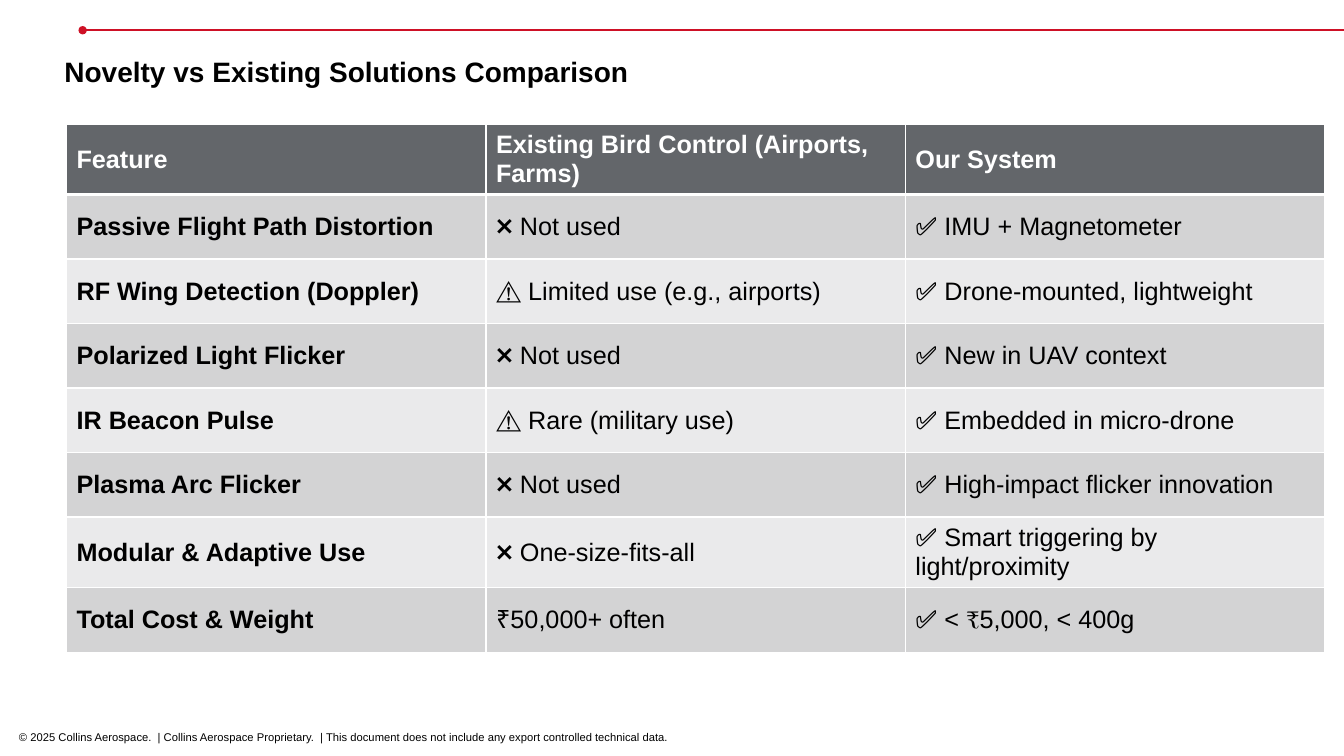
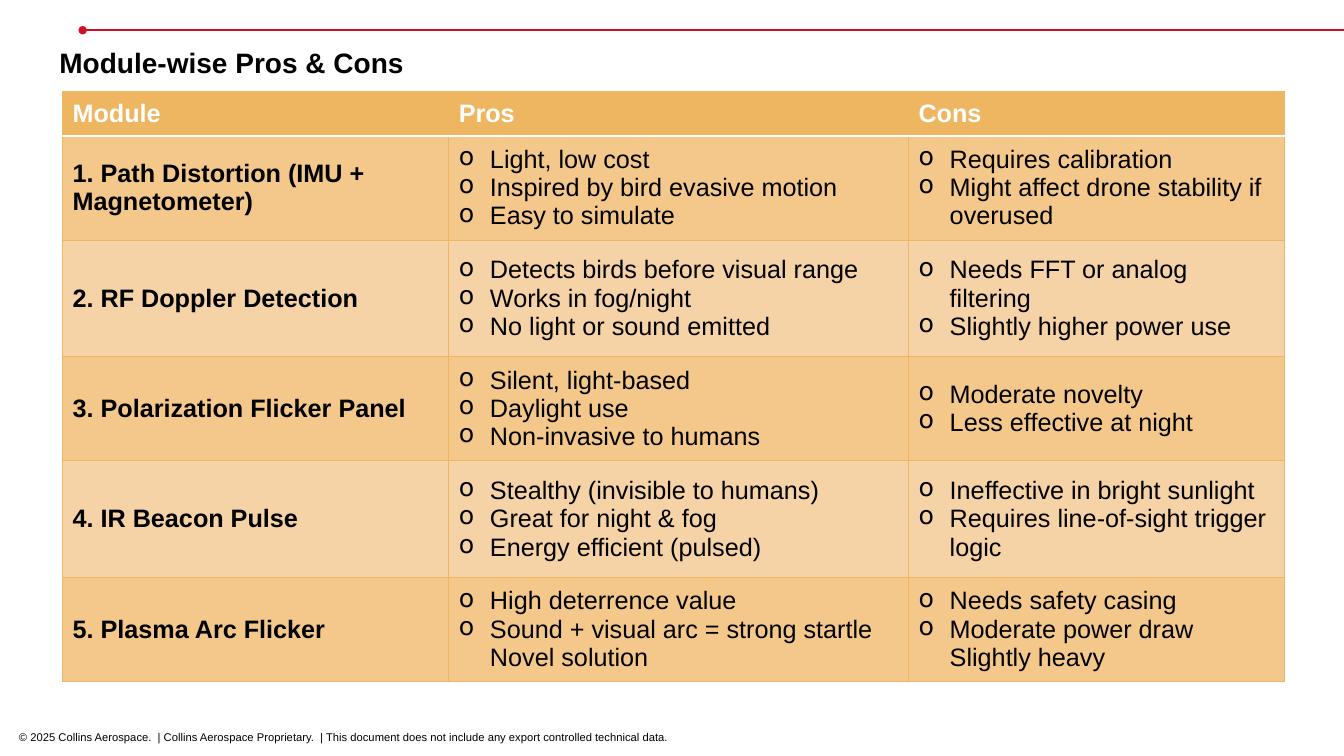
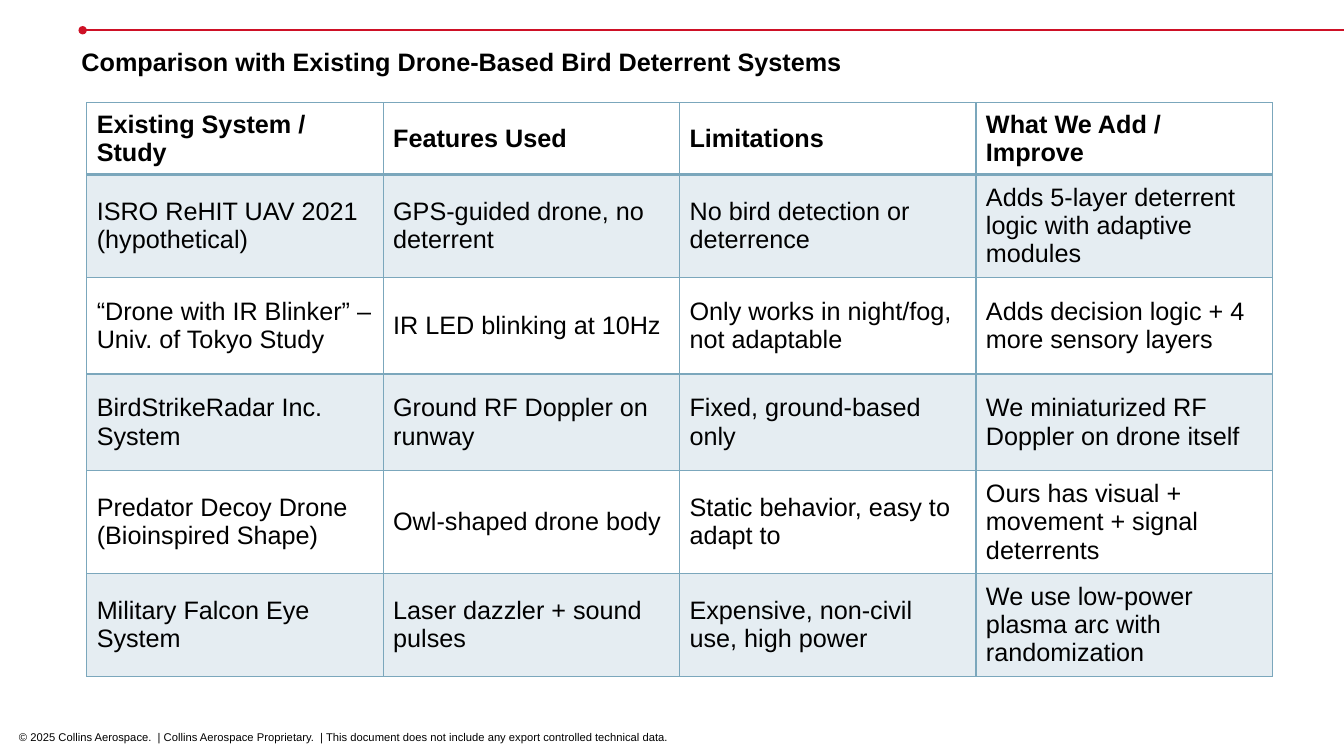
from dataclasses import dataclass

from lxml import etree
from pptx import Presentation
from pptx.dml.color import RGBColor
from pptx.enum.shapes import MSO_CONNECTOR
from pptx.enum.text import MSO_ANCHOR
from pptx.oxml.ns import qn
from pptx.util import Inches, Pt

STRAIGHT = MSO_CONNECTOR.STRAIGHT
MIDDLE = MSO_ANCHOR.MIDDLE


@dataclass(frozen=True)
class Theme:
    font: str = "Arial"
    black: str = "000000"
    white: str = "FFFFFF"
    red: str = "CE1126"
    slate: str = "63666A"
    grey: str = "D3D3D4"
    pale_grey: str = "EAEAEB"
    amber: str = "EFB661"
    mid_amber: str = "F3C88A"
    pale_amber: str = "F5D3A6"
    blue: str = "7BA7BC"
    pale_blue: str = "E5EDF2"
    title: int = 20
    body: int = 18
    footer: int = 8


THEME = Theme()
FOOTER = (
    "© 2025 Collins Aerospace.  | Collins Aerospace Proprietary.  | "
    "This document does not include any export controlled technical data."
)
Cell = str | tuple[str, ...]


@dataclass(frozen=True)
class Border:
    color: str
    width: float


@dataclass(frozen=True)
class TableStyle:
    header_fill: str
    header_text: str
    bands: tuple[str, str]
    grid: Border
    header_rule: Border
    bold_first_column: bool = True


@dataclass(frozen=True)
class TableSlide:
    title: str
    title_box: tuple[float, float, float, float]
    title_size: int
    origin: tuple[float, float]
    columns: tuple[float, ...]
    heights: tuple[float, ...]
    style: TableStyle
    rows: tuple[tuple[Cell, ...], ...]


SLATE_STYLE = TableStyle(
    THEME.slate, THEME.white, (THEME.grey, THEME.pale_grey),
    Border(THEME.white, 1), Border(THEME.white, 3),
)
AMBER_STYLE = TableStyle(
    THEME.amber, THEME.white, (THEME.mid_amber, THEME.pale_amber),
    Border(THEME.amber, 0.5), Border(THEME.white, 1),
)
BLUE_STYLE = TableStyle(
    THEME.white, THEME.black, (THEME.pale_blue, THEME.white),
    Border(THEME.blue, 1), Border(THEME.blue, 2), bold_first_column=False,
)

SLIDES = (
    TableSlide(
        "Novelty vs Existing Solutions Comparison",
        (0.54, 0.49, 8.13, 0.44), THEME.title,
        (0.66, 1.23), (4.16,) * 3, (0.64,) * 8, SLATE_STYLE,
        (
            ("Feature", "Existing Bird Control (Airports, Farms)", "Our System"),
            ("Passive Flight Path Distortion", "❌ Not used", "✅ IMU + Magnetometer"),
            ("RF Wing Detection (Doppler)", "⚠️ Limited use (e.g., airports)",
             "✅ Drone-mounted, lightweight"),
            ("Polarized Light Flicker", "❌ Not used", "✅ New in UAV context"),
            ("IR Beacon Pulse", "⚠️ Rare (military use)", "✅ Embedded in micro-drone"),
            ("Plasma Arc Flicker", "❌ Not used", "✅ High-impact flicker innovation"),
            ("Modular & Adaptive Use", "❌ One-size-fits-all",
             "✅ Smart triggering by light/proximity"),
            ("Total Cost & Weight", "₹50,000+ often", "✅ < ₹5,000, < 400g"),
        ),
    ),
    TableSlide(
        "Module-wise Pros & Cons",
        (0.49, 0.4, 9.52, 0.44), THEME.title,
        (0.62, 0.91), (3.83, 4.56, 3.73),
        (0.44, 1.03, 1.16, 1.03, 1.16, 1.03), AMBER_STYLE,
        (
            ("Module", "Pros", "Cons"),
            ("1. Path Distortion (IMU + Magnetometer)",
             ("Light, low cost", "Inspired by bird evasive motion", "Easy to simulate"),
             ("Requires calibration", "Might affect drone stability if overused")),
            ("2. RF Doppler Detection",
             ("Detects birds before visual range", "Works in fog/night",
              "No light or sound emitted"),
             ("Needs FFT or analog filtering", "Slightly higher power use")),
            ("3. Polarization Flicker Panel",
             ("Silent, light-based", "Daylight use", "Non-invasive to humans"),
             ("Moderate novelty", "Less effective at night")),
            ("4. IR Beacon Pulse",
             ("Stealthy (invisible to humans)", "Great for night & fog",
              "Energy efficient (pulsed)"),
             ("Ineffective in bright sunlight", "Requires line-of-sight trigger logic")),
            ("5. Plasma Arc Flicker",
             ("High deterrence value",
              "Sound + visual arc = strong startle\vNovel solution"),
             ("Needs safety casing", "Moderate power draw\vSlightly heavy")),
        ),
    ),
    TableSlide(
        "Comparison with Existing Drone-Based Bird Deterrent Systems",
        (0.71, 0.41, 9.3, 0.4), THEME.body,
        (0.86, 1.02), (2.94,) * 4,
        (0.71, 1.02, 0.96, 0.96, 1.02, 1.02), BLUE_STYLE,
        (
            ("Existing System / Study", "Features Used", "Limitations",
             "What We Add / Improve"),
            ("ISRO ReHIT UAV 2021 (hypothetical)", "GPS-guided drone, no deterrent",
             "No bird detection or deterrence",
             "Adds 5-layer deterrent logic with adaptive modules"),
            ("“Drone with IR Blinker” – Univ. of Tokyo Study", "IR LED blinking at 10Hz",
             "Only works in night/fog, not adaptable",
             "Adds decision logic + 4 more sensory layers"),
            ("BirdStrikeRadar Inc. System", "Ground RF Doppler on runway",
             "Fixed, ground-based only", "We miniaturized RF Doppler on drone itself"),
            ("Predator Decoy Drone (Bioinspired Shape)", "Owl-shaped drone body",
             "Static behavior, easy to adapt to",
             "Ours has visual + movement + signal deterrents"),
            ("Military Falcon Eye System", "Laser dazzler + sound pulses",
             "Expensive, non-civil use, high power",
             "We use low-power plasma arc with randomization"),
        ),
    ),
)


def rgb(color: str) -> RGBColor:
    return RGBColor.from_string(color)


def write(tf, text: Cell, *, size: int = THEME.body, color: str = THEME.black,
          bold: bool = False) -> None:
    bulleted = isinstance(text, tuple)
    for i, line in enumerate(text if bulleted else (text,)):
        p = tf.paragraphs[0] if i == 0 else tf.add_paragraph()
        if bulleted:
            props = p._p.get_or_add_pPr()
            props.set("marL", str(Inches(0.31)))
            props.set("indent", str(-Inches(0.31)))
            etree.SubElement(props, qn("a:buChar"), char="o")
        p.text = line
        for r in p.runs:
            r.font.name = THEME.font
            r.font.size = Pt(size)
            r.font.bold = bold
            r.font.color.rgb = rgb(color)


def add_text(slide, box: tuple[float, float, float, float], text: str, *,
             size: int, bold: bool = False) -> None:
    tf = slide.shapes.add_textbox(*map(Inches, box)).text_frame
    tf.word_wrap = True
    write(tf, text, size=size, bold=bold)


def add_rule(slide) -> None:
    line = slide.shapes.add_connector(
        STRAIGHT, Inches(0.82), Inches(0.3), Inches(13.33), Inches(0.3))
    line.line.color.rgb = rgb(THEME.red)
    line.line.width = Pt(1.5)
    etree.SubElement(line.line._get_or_add_ln(), qn("a:headEnd"), type="oval")
    etree.SubElement(line._element.spPr, qn("a:effectLst"))


def set_borders(cell, borders: dict[str, Border]) -> None:
    props = cell._tc.get_or_add_tcPr()
    for i, side in enumerate("LRTB"):
        border = borders[side]
        ln = etree.Element(qn(f"a:ln{side}"), w=str(Pt(border.width)))
        fill = etree.SubElement(ln, qn("a:solidFill"))
        etree.SubElement(fill, qn("a:srgbClr"), val=border.color)
        props.insert(i, ln)


def add_table(slide, content: TableSlide) -> None:
    style = content.style
    left, top = content.origin
    table = slide.shapes.add_table(
        len(content.rows), len(content.columns), Inches(left), Inches(top),
        Inches(sum(content.columns)), Inches(sum(content.heights))).table
    table.horz_banding = False
    for column, width in zip(table.columns, content.columns):
        column.width = Inches(width)
    for row, height in zip(table.rows, content.heights):
        row.height = Inches(height)
    for i, texts in enumerate(content.rows):
        header = i == 0
        borders = dict.fromkeys("LRTB", style.grid)
        if i < 2:
            borders["B" if header else "T"] = style.header_rule
        for j, text in enumerate(texts):
            cell = table.cell(i, j)
            cell.vertical_anchor = MIDDLE
            cell.fill.solid()
            cell.fill.fore_color.rgb = rgb(
                style.header_fill if header else style.bands[(i - 1) % 2])
            set_borders(cell, borders)
            write(cell.text_frame, text,
                  color=style.header_text if header else THEME.black,
                  bold=header or (j == 0 and style.bold_first_column))


def main() -> None:
    prs = Presentation()
    prs.slide_width, prs.slide_height = Inches(13.33), Inches(7.5)
    for content in SLIDES:
        slide = prs.slides.add_slide(prs.slide_layouts[6])
        add_rule(slide)
        add_text(slide, (0.09, 7.2, 12.2, 0.3), FOOTER, size=THEME.footer)
        add_text(slide, content.title_box, content.title,
                 size=content.title_size, bold=True)
        add_table(slide, content)
    prs.save("out.pptx")


if __name__ == "__main__":
    main()
